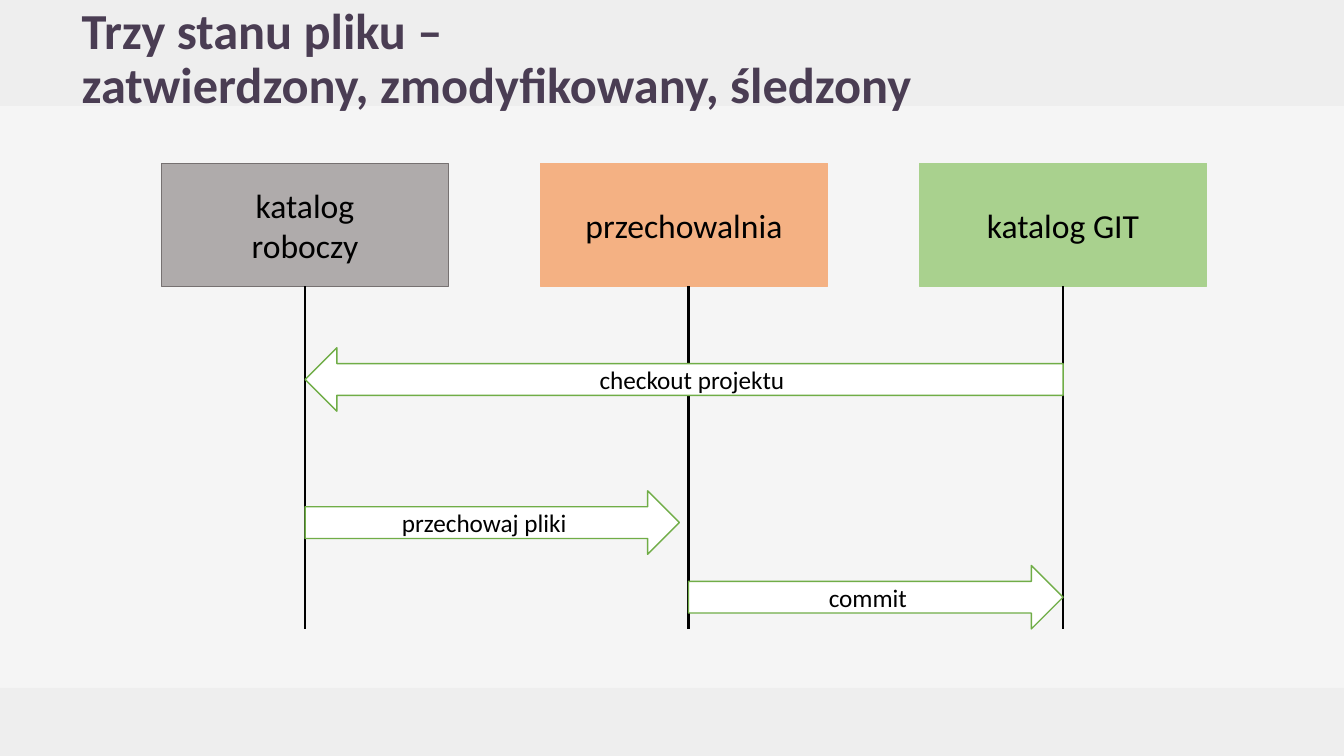
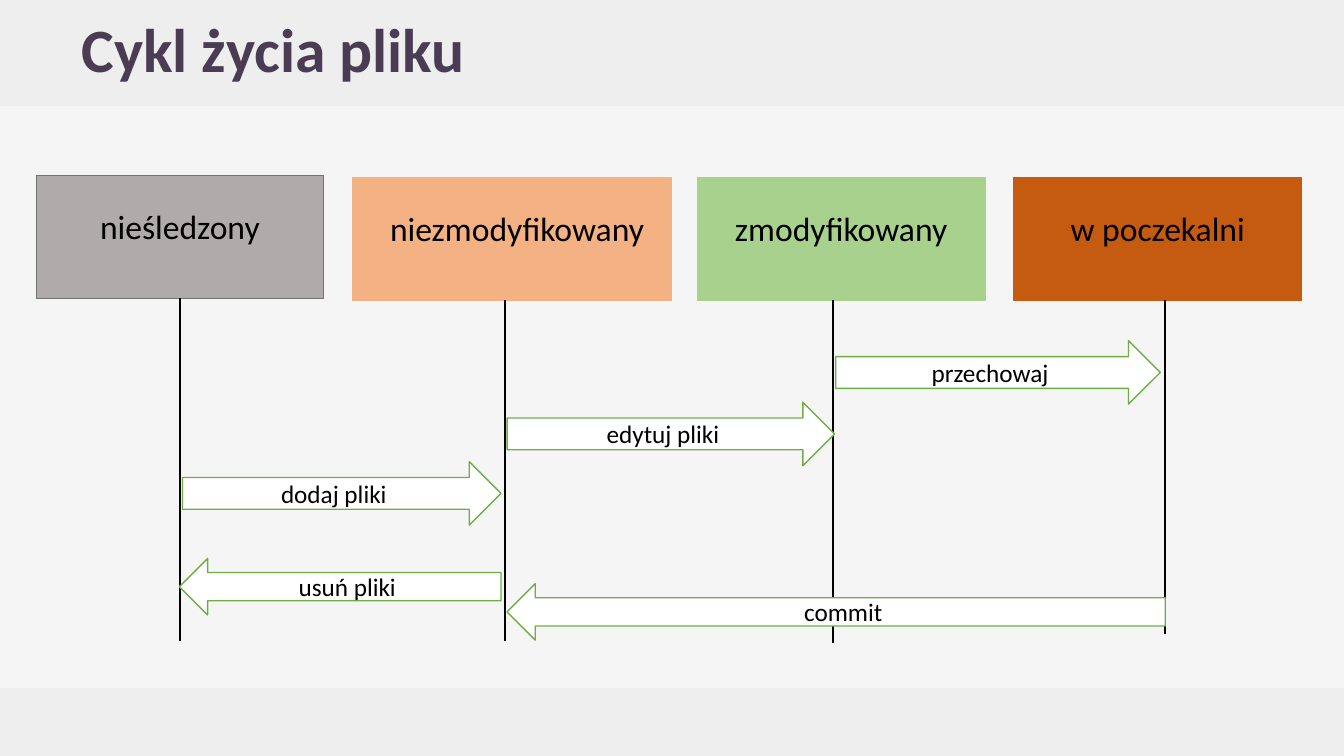
from dataclasses import dataclass

from lxml import etree
from pptx import Presentation
from pptx.dml.color import RGBColor
from pptx.enum.shapes import MSO_CONNECTOR, MSO_SHAPE
from pptx.enum.text import MSO_ANCHOR, MSO_AUTO_SIZE, PP_ALIGN
from pptx.oxml.ns import qn
from pptx.util import Inches, Pt

RECT, TO_RIGHT, TO_LEFT = MSO_SHAPE.RECTANGLE, MSO_SHAPE.RIGHT_ARROW, MSO_SHAPE.LEFT_ARROW
STRAIGHT = MSO_CONNECTOR.STRAIGHT
MIDDLE, NO_FIT = MSO_ANCHOR.MIDDLE, MSO_AUTO_SIZE.NONE
LEFT, CENTER = PP_ALIGN.LEFT, PP_ALIGN.CENTER
BOTTOM_SIDE = 2


@dataclass(frozen=True)
class Theme:
    font: str = "Calibri"
    paper: str = "F5F5F5"
    band: str = "EEEEEE"
    title: str = "4A3D53"
    ink: str = "000000"
    gray: str = "AFABAB"
    gray_edge: str = "767171"
    orange: str = "F4B183"
    green: str = "A9D18E"
    rust: str = "C55A11"
    arrow: str = "FFFFFF"
    arrow_edge: str = "70AD47"
    stage_size: int = 24
    action_size: int = 18
    edge_width: float = 1
    lane_width: float = 1.5


THEME = Theme()

deck = Presentation()
deck.slide_width, deck.slide_height = Inches(13.33), Inches(7.5)
# All lengths below are percent of the slide: COL across, ROW down
COL, ROW = deck.slide_width / 100, deck.slide_height / 100


def write(frame, text, size, color=THEME.ink, bold=False, align=CENTER, spacing=1.0,
          left=0.75, right=0.75, bottom=0.67):
    frame.word_wrap = True
    frame.auto_size = NO_FIT
    frame.vertical_anchor = MIDDLE
    frame.margin_left, frame.margin_right = int(left * COL), int(right * COL)
    frame.margin_bottom = int(bottom * ROW)
    paragraph = frame.paragraphs[0]
    paragraph.text = text
    paragraph.alignment, paragraph.line_spacing = align, spacing
    for run in paragraph.runs:
        run.font.name, run.font.size, run.font.bold = THEME.font, Pt(size), bold
        run.font.color.rgb = RGBColor.from_string(color)


def block(slide, kind, left, top, width, height, fill, edge=None):
    shape = slide.shapes.add_shape(kind, int(left * COL), int(top * ROW),
                                   int(width * COL), int(height * ROW))
    shape.shadow.inherit = False
    shape.fill.solid()
    shape.fill.fore_color.rgb = RGBColor.from_string(fill)
    if edge:
        shape.line.color.rgb = RGBColor.from_string(edge)
        shape.line.width = Pt(THEME.edge_width)
    else:
        shape.line.fill.background()
    return shape


STAGE_WIDTH, STAGE_HEIGHT = 21.38, 16.27
FIRST_LEFT, STAGE_STEP, STAGE_TOP = 12, 28.2, 21.6
CYCLE_TOP = 23.47

# Stage: label, left, top, width, fill, edge, lane x (None = centre), lane end, margins
# Action: label, from x, to x, top, height
DIAGRAMS = [
    dict(
        title="Trzy stanu pliku –\nzatwierdzony, zmodyfikowany, śledzony",
        title_size=36, title_top=1.2, title_height=13.47,
        stages=[
            (label, FIRST_LEFT + i * STAGE_STEP, STAGE_TOP, STAGE_WIDTH,
             fill, edge, lane, 83.2, margins)
            for i, (label, fill, edge, lane, margins) in enumerate([
                ("katalog roboczy", THEME.gray, THEME.gray_edge, None,
                 dict(left=4.4, right=4.4)),
                ("przechowalnia", THEME.orange, THEME.orange, 51.23, {}),
                ("katalog GIT", THEME.green, THEME.green, None, {}),
            ])
        ],
        actions=[
            ("commit", 51.23, 79.1, 74.8, 8.4),
            ("przechowaj pliki", 22.7, 50.55, 64.93, 8.4),
            ("checkout projektu", 79.1, 22.7, 46, 8.4),
        ],
    ),
    dict(
        title="Cykl życia pliku",
        title_size=44, title_top=0, title_height=14,
        stages=[
            ("nieśledzony", 2.7, 23.2, STAGE_WIDTH, THEME.gray, THEME.gray_edge,
             None, 84.8, dict(bottom=3.4)),
            ("niezmodyfikowany", 26.25, CYCLE_TOP, 23.7, THEME.orange, THEME.orange,
             37.58, 84.8, dict(bottom=3.4, left=1.5)),
            ("zmodyfikowany", 51.9, CYCLE_TOP, STAGE_WIDTH, THEME.green, THEME.green,
             61.95, 85.07, dict(bottom=3.4)),
            ("w poczekalni", 75.45, CYCLE_TOP, STAGE_WIDTH, THEME.rust, THEME.rust,
             86.7, 83.87, dict(bottom=3.4)),
        ],
        actions=[
            ("przechowaj", 62.18, 86.33, 45.07, 8.4),
            ("dodaj pliki", 13.58, 37.28, 61.07, 8.4),
            ("edytuj pliki", 37.73, 62.1, 53.2, 8.4),
            ("usuń pliki", 37.28, 13.35, 73.87, 7.47),
            ("commit", 86.7, 37.73, 77.2, 7.47),
        ],
    ),
]

# Shared background
master = deck.slide_master
master.background.fill.solid()
master.background.fill.fore_color.rgb = RGBColor.from_string(THEME.paper)
title_only = deck.slide_layouts[5]
slides = [deck.slides.add_slide(title_only) for diagram in DIAGRAMS]

# Shared bands, moved to the back of the master
for number, (top, height) in enumerate([(0, 14), (91, 9)]):
    band = block(slides[0], RECT, 0, top, 100, height, THEME.band)._element
    band.nvSpPr.cNvPr.set("id", str(100 + number))
    master.shapes._spTree.insert(2, band)

for slide, diagram in zip(slides, DIAGRAMS):
    # Title
    heading = slide.shapes.title
    heading.left, heading.top = int(5.33 * COL), int(diagram["title_top"] * ROW)
    heading.width, heading.height = int(89.33 * COL), int(diagram["title_height"] * ROW)
    write(heading.text_frame, diagram["title"], diagram["title_size"],
          color=THEME.title, bold=True, align=LEFT, spacing=0.9)

    # Stages, each with its lane
    for label, left, top, width, fill, edge, lane_x, lane_end, margins in diagram["stages"]:
        stage = block(slide, RECT, left, top, width, STAGE_HEIGHT, fill, edge)
        write(stage.text_frame, label, THEME.stage_size, **margins)
        x = stage.left + stage.width // 2 if lane_x is None else int(lane_x * COL)
        lane = slide.shapes.add_connector(STRAIGHT, x, stage.top + stage.height,
                                          x, int(lane_end * ROW))
        if lane_x is None:
            lane.begin_connect(stage, BOTTOM_SIDE)
        lane.line.color.rgb = RGBColor.from_string(THEME.ink)
        lane.line.width = Pt(THEME.lane_width)
        etree.SubElement(lane._element.spPr, qn("a:effectLst"))

    # Actions between the lanes
    for label, start, end, top, height in diagram["actions"]:
        action = block(slide, TO_RIGHT if end > start else TO_LEFT, min(start, end), top,
                       abs(end - start), height, THEME.arrow, THEME.arrow_edge)
        write(action.text_frame, label, THEME.action_size)

deck.save("out.pptx")
